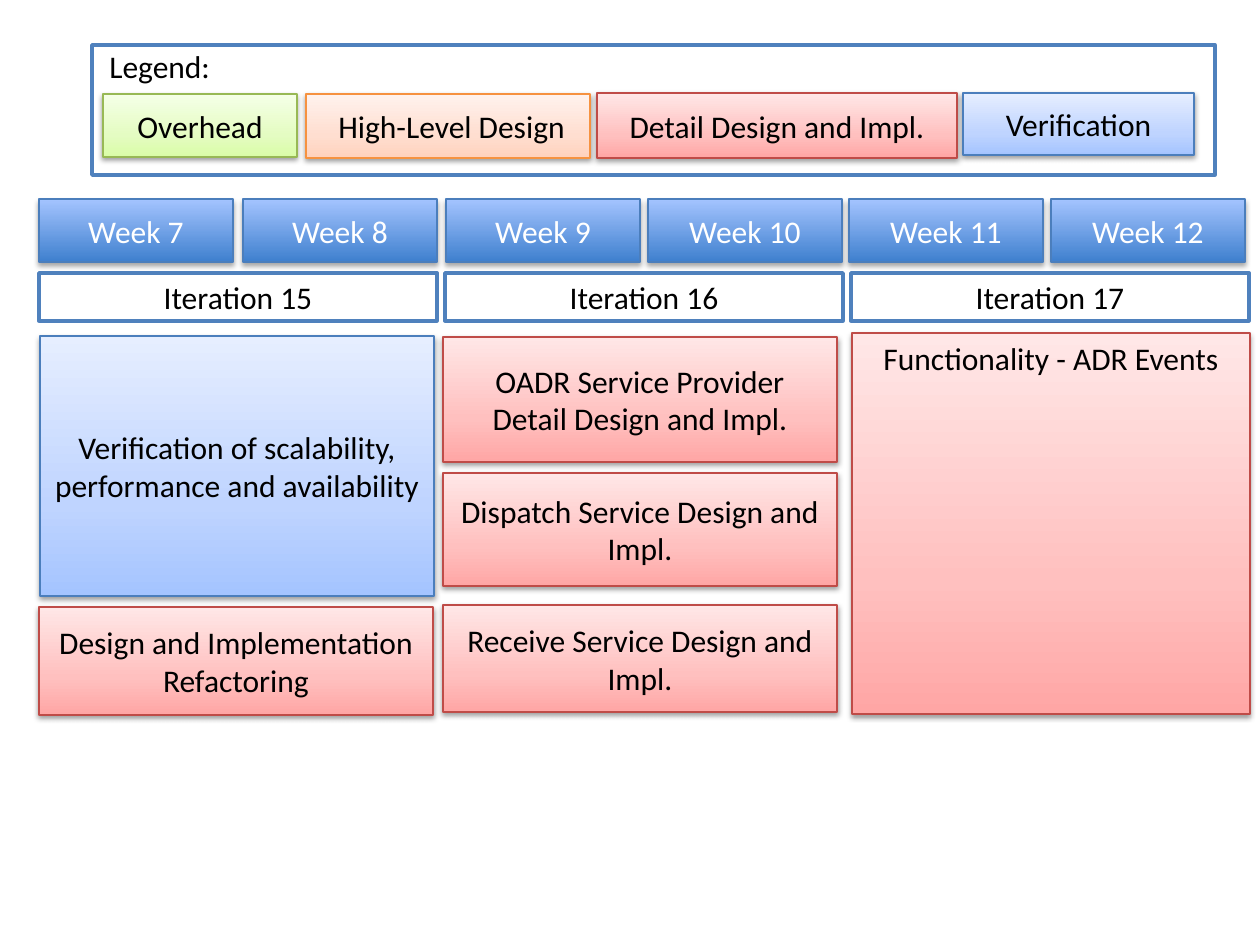
import copy

import lxml.etree
import pptx
import pptx.dml.color
import pptx.enum.shapes
import pptx.enum.text
import pptx.oxml.ns
import pptx.util

SCALE = 914400 / 126
COLORS = {"white": "FFFFFF", "black": "000000", "frame": "4F81BD"}
# Gradient stops run from the bottom edge to the top one.
STYLES = {
    "week": {"stops": {0: "3F80CE", 1: "A4C4FF"}, "line": "4B7EBC",
             "text": "white", "alpha": 35, "dist": 1.8},
    "green": {"stops": {0: "DAFDA7", 0.35: "E4FCC2", 1: "F5FFE7"}, "line": "98B955"},
    "orange": {"stops": {0: "FFD2BD", 0.35: "FFDED0", 1: "FFF2ED"}, "line": "F69240"},
    "red": {"stops": {0: "FFA6A5", 0.35: "FFC0BF", 1: "FFE7E7"}, "line": "BF4C48"},
    "blue": {"stops": {0: "A4C4FF", 0.35: "BFD4FF", 1: "E6EEFF"}, "line": "4B7EBC"},
}
WEEKS = [39, 243, 446, 648, 849, 1051]
KEYS = [
    ("Overhead", "green", (103, 94, 194, 63)),
    (" High-Level Design", "orange", (306, 94, 284, 64)),
    ("Detail Design and Impl.", "red", (597, 93, 360, 65)),
    ("Verification", "blue", (963, 93, 231, 62)),
]
TASKS = [
    ("OADR Service Provider Detail Design and Impl.", "red", (443, 337, 394, 125)),
    ("Dispatch Service Design and Impl.", "red", (443, 473, 394, 113)),
    ("Receive Service Design and Impl.", "red", (443, 605, 394, 107)),
    ("Verification of scalability, performance and availability", "blue",
     (40, 336, 394, 260)),
    ("Design and Implementation Refactoring", "red", (39, 607, 394, 108)),
]


def px(num):
    return pptx.util.Emu(round(num * SCALE))


def rgb(code):
    return pptx.dml.color.RGBColor.from_string(code)


def write(shape, text, color="black", align="CENTER"):
    para = shape.text_frame.paragraphs[0]
    para.text = text
    para.alignment = pptx.enum.text.PP_ALIGN[align]
    form = {"name": "Calibri", "size": pptx.util.Pt(18)}
    for key, value in form.items():
        setattr(para.font, key, value)
    para.font.color.rgb = rgb(COLORS[color])


def rect(slide, area, line, width):
    kind = pptx.enum.shapes.MSO_SHAPE.RECTANGLE
    shape = slide.shapes.add_shape(kind, *map(px, area))
    shape.shadow.inherit = False
    shape.line.color.rgb = rgb(line)
    shape.line.width = pptx.util.Pt(width)
    shape.text_frame.word_wrap = True
    return shape


def frame(slide, area, text=""):
    shape = rect(slide, area, COLORS["frame"], 2)
    shape.fill.solid()
    shape.fill.fore_color.rgb = rgb(COLORS["white"])
    if text:
        write(shape, text)


def shade(shape, stops):
    """Fill the shape with a vertical gradient."""
    shape.fill.gradient()
    shape.fill.gradient_angle = 90
    group = shape.element.find(".//" + pptx.oxml.ns.qn("a:gsLst"))
    while len(group) < len(stops):
        group.append(copy.deepcopy(group[0]))
    for stop, (pos, code) in zip(shape.fill.gradient_stops, stops.items()):
        stop.position = pos
        stop.color.rgb = rgb(code)


def drop(shape, alpha, dist):
    """Add a soft shadow straight below the shape."""
    name = pptx.oxml.ns.qn
    effects = shape.element.spPr.find(name("a:effectLst"))
    outer = lxml.etree.SubElement(
        effects, name("a:outerShdw"), blurRad=str(pptx.util.Pt(3.1)),
        dist=str(pptx.util.Pt(dist)), dir="5400000", rotWithShape="0")
    color = lxml.etree.SubElement(outer, name("a:srgbClr"), val=COLORS["black"])
    lxml.etree.SubElement(color, name("a:alpha"), val=str(alpha * 1000))


def card(slide, text, style, area):
    look = STYLES[style]
    shape = rect(slide, area, look["line"], 0.75)
    shade(shape, look["stops"])
    drop(shape, look.get("alpha", 38), look.get("dist", 1.6))
    write(shape, text, look.get("text", "black"))
    return shape


def label(slide, text, area):
    box = slide.shapes.add_textbox(*map(px, area))
    box.text_frame.word_wrap = False
    box.text_frame.auto_size = pptx.enum.text.MSO_AUTO_SIZE.SHAPE_TO_FIT_TEXT
    write(box, text, align="LEFT")


def main():
    deck = pptx.Presentation()
    deck.slide_width, deck.slide_height = px(1260), px(945)
    slide = deck.slides.add_slide(deck.slide_layouts[6])

    for num, left in enumerate(WEEKS, 7):
        card(slide, f"Week {num}", "week", (left, 199, 194, 63))
    for col in range(3):
        frame(slide, (39 + 406 * col, 273, 398, 48), f"Iteration {15 + col}")

    events = card(slide, "Functionality - ADR Events", "red", (852, 333, 398, 381))
    events.text_frame.vertical_anchor = pptx.enum.text.MSO_ANCHOR.TOP
    for task in TASKS:
        card(slide, *task)

    frame(slide, (92, 45, 1123, 130))
    for key in KEYS:
        card(slide, *key)
    label(slide, "Legend:", (97, 41, 127, 50))

    deck.save("out.pptx")


if __name__ == "__main__":
    main()
